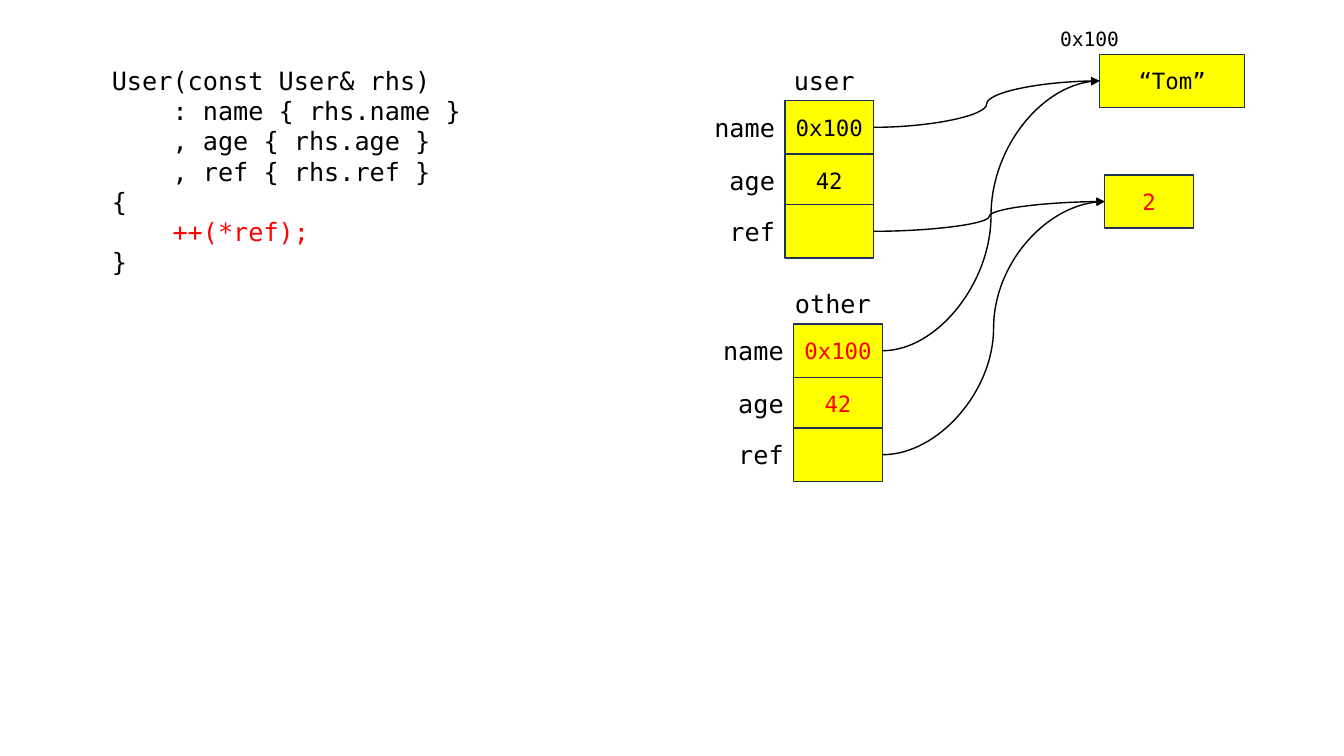
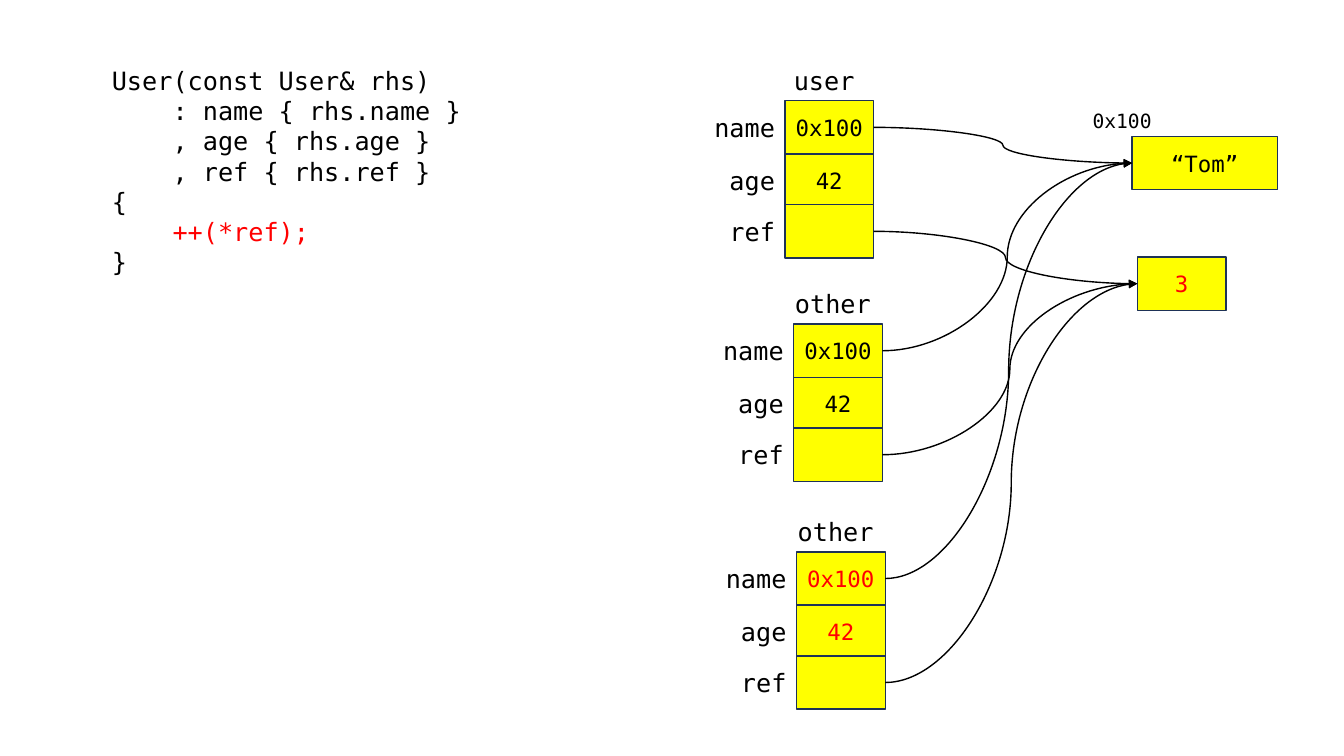
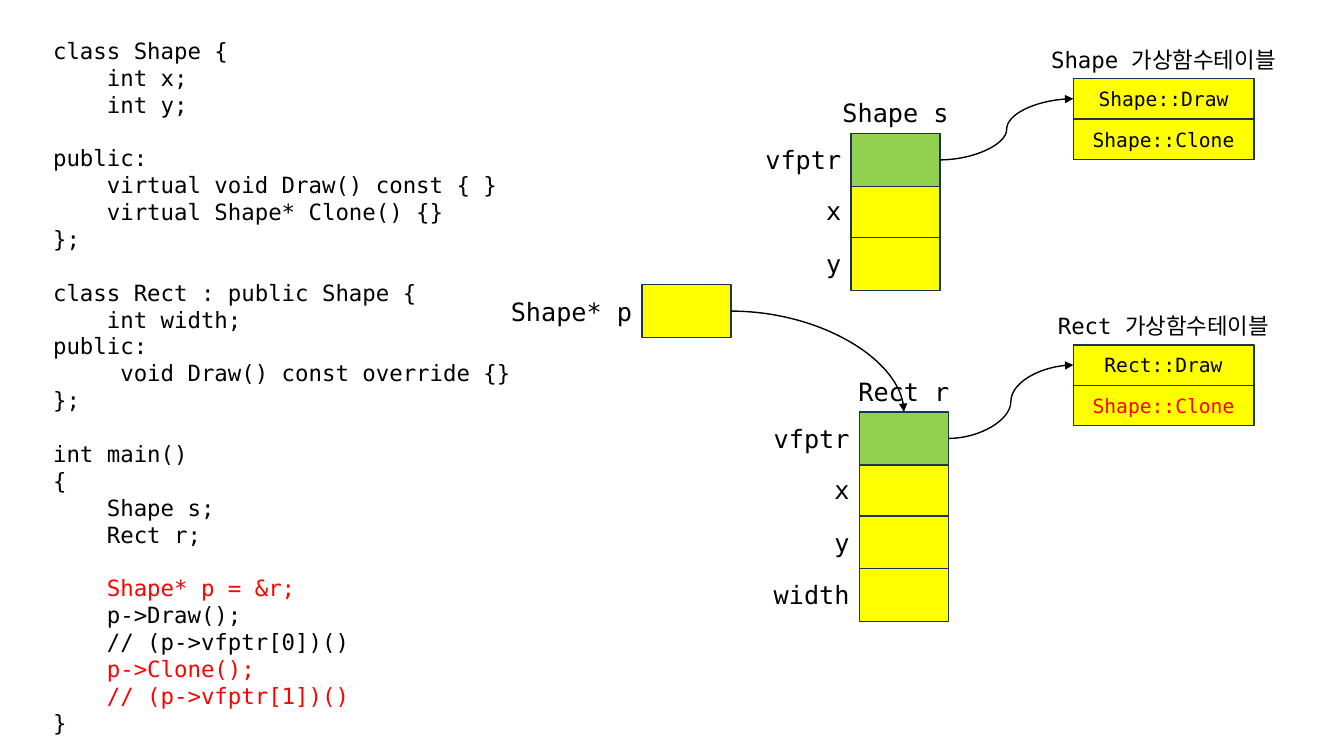
from pptx import Presentation
from pptx.dml.color import RGBColor
from pptx.enum.shapes import MSO_CONNECTOR, MSO_SHAPE
from pptx.enum.text import MSO_ANCHOR, PP_ALIGN
from pptx.oxml.ns import qn
from pptx.util import Cm, Pt
from lxml import etree

RECTANGLE = MSO_SHAPE.RECTANGLE
CURVE = MSO_CONNECTOR.CURVE
LEFT, CENTER, RIGHT = PP_ALIGN.LEFT, PP_ALIGN.CENTER, PP_ALIGN.RIGHT
TOP, MIDDLE = MSO_ANCHOR.TOP, MSO_ANCHOR.MIDDLE

# Shared look
FONT = "DejaVu Sans Mono"
BLACK, RED, YELLOW, GREEN, NAVY = "000000", "FF0000", "FFFF00", "92D050", "1E3256"
CODE_LEADING = 1.2
TOP_SITE, LEFT_SITE, RIGHT_SITE = 0, 1, 3

# Shared measures in centimetres
CELL_WIDTH, CELL_HEIGHT = 2.24, 1.34
LABEL_WIDTH, LABEL_HEIGHT, LABEL_DROP = 3.7, 1.02, 0.16
TITLE_WIDTH, TITLE_RISE = 4.96, 1.03


def add_box(page, left, top, width, height, lines, size, align=CENTER, fill=None, leading=None):
    """Add a filled cell, or a plain text box when there is no fill."""
    area = Cm(left), Cm(top), Cm(width), Cm(height)
    if fill:
        box = page.shapes.add_shape(RECTANGLE, *area)
        box.shadow.inherit = False
        box.fill.solid()
        box.fill.fore_color.rgb = RGBColor.from_string(fill)
        box.line.color.rgb = RGBColor.from_string(NAVY)
        box.line.width = Pt(1)
    else:
        box = page.shapes.add_textbox(*area)
    frame = box.text_frame
    frame.word_wrap = True
    frame.vertical_anchor = MIDDLE if fill else TOP
    if fill:
        frame.margin_left = frame.margin_right = 0
    para, gap = frame.paragraphs[0], 0
    for number, (text, colour) in enumerate(lines):
        if not text:
            gap = size * CODE_LEADING
            continue
        if number:
            para = frame.add_paragraph()
        para.alignment = align
        if leading:
            para.line_spacing = Pt(size * leading)
        if gap:
            para.space_before = Pt(gap)
            gap = 0
        span = para.add_run()
        span.text = text
        span.font.name = FONT
        span.font.size = Pt(size)
        span.font.color.rgb = RGBColor.from_string(colour)
    return box


def add_record(page, title, left, top, rows, title_shift=0.0):
    """Add a titled stack of labelled cells and return the cells by label."""
    title_left = left + (CELL_WIDTH - TITLE_WIDTH) / 2 + title_shift
    add_box(page, title_left, top - TITLE_RISE, TITLE_WIDTH, LABEL_HEIGHT, [(title, BLACK)], 18)
    cells = {}
    for label, offset, lines, fill in rows:
        cells[label] = add_box(page, left, top + offset, CELL_WIDTH, CELL_HEIGHT, lines, 16, fill=fill)
        add_box(page, left - LABEL_WIDTH, top + offset + LABEL_DROP, LABEL_WIDTH, LABEL_HEIGHT,
                [(label, BLACK)], 18, RIGHT)
    return cells


deck = Presentation()
deck.slide_width, deck.slide_height = Cm(33.87), Cm(19.05)
blank_layout = deck.slide_layouts[6]
arrows = []  # page, start cell, end cell, end site

# Slides 1 and 2: copying a reference-counted user
COPY_CODE = """\
    User(const User& rhs)
        : name { rhs.name }
        , age { rhs.age }
        , ref { rhs.ref }
    {
        ++(*ref);
    }"""
copy_lines = [(line, RED if "++" in line else BLACK) for line in COPY_CODE.split("\n")]
users = [("user", 19.78, 2.54), ("other", 20, 8.17), ("other", 20.07, 13.91)]

for user_count, heap_left, heap_top in [(2, 27.71, 1.37), (3, 28.53, 3.44)]:
    page = deck.slides.add_slide(blank_layout)
    add_box(page, 1.04, 1.52, 16.94, 5.64, copy_lines, 18, LEFT, leading=CODE_LEADING)

    # Shared name and reference count
    add_box(page, heap_left - 1.61, heap_top - 0.82, 2.72, 0.86, [("0x100", BLACK)], 14)
    name_cell = add_box(page, heap_left, heap_top, 3.66, CELL_HEIGHT, [("“Tom”", BLACK)], 16, fill=YELLOW)
    count_cell = add_box(page, heap_left + 0.13, heap_top + 3.04, CELL_WIDTH, CELL_HEIGHT,
                         [(str(user_count), RED)], 16, fill=YELLOW)

    # User objects, the newest in red
    for number, (title, left, top) in enumerate(users[:user_count], 1):
        colour = RED if number == user_count else BLACK
        rows = [("name", 0, [("0x100", colour)], YELLOW),
                ("age", 1.34, [("42", colour)], YELLOW),
                ("ref", 2.62, [], YELLOW)]
        cells = add_record(page, title, left, top, rows, title_shift=-0.13)
        arrows.append((page, cells["name"], name_cell, LEFT_SITE))
        arrows.append((page, cells["ref"], count_cell, LEFT_SITE))

# Slide 3: virtual function tables
CLASS_CODE = """\
class Shape {
    int x;
    int y;

public:
    virtual void Draw() const { }
    virtual Shape* Clone() {}
};

class Rect : public Shape {
    int width;
public:
     void Draw() const override {}
};

int main()
{
    Shape s;
    Rect r;

    Shape* p = &r;
    p->Draw();
    // (p->vfptr[0])()
    p->Clone();
    // (p->vfptr[1])()
}"""
red_marks = ("&r", "p->Clone", "vfptr[1]")
class_lines = [(line, RED if any(mark in line for mark in red_marks) else BLACK)
               for line in CLASS_CODE.split("\n")]
page = deck.slides.add_slide(blank_layout)
add_box(page, 1.09, 0.81, 13.84, 18.03, class_lines, 16, LEFT, leading=CODE_LEADING)

# Objects with their tables
member_rows = [("x", 1.28, [], YELLOW), ("y", 2.62, [], YELLOW)]
pointer_row = ("vfptr", 0, [], GREEN)
width_row = ("width", 3.94, [], YELLOW)
objects = [
    ("Shape", "Shape s", 21.45, 3.36, member_rows + [pointer_row], 1.98, BLACK),
    ("Rect", "Rect r", 21.66, 10.38, member_rows + [width_row, pointer_row], 8.69, RED),
]
TABLE_LEFT, TABLE_WIDTH, ENTRY_HEIGHT = 27.05, 4.55, 1.02
for class_name, title, left, top, rows, table_top, clone_colour in objects:
    cells = add_record(page, title, left, top, rows)
    add_box(page, TABLE_LEFT - 1.45, table_top - 0.94, 7.44, 0.94,
            [(f"{class_name} 가상함수테이블", BLACK)], 16)
    entries = [(f"{class_name}::Draw", BLACK), ("Shape::Clone", clone_colour)]
    draw_entry, clone_entry = [
        add_box(page, TABLE_LEFT, table_top + row * ENTRY_HEIGHT, TABLE_WIDTH, ENTRY_HEIGHT,
                [entry], 14, fill=YELLOW)
        for row, entry in enumerate(entries)]
    arrows.append((page, cells["vfptr"], draw_entry, LEFT_SITE))

# Base pointer to the last object, Rect r
POINTER_LEFT, POINTER_TOP = 16.18, 7.17
pointer_cell = add_box(page, POINTER_LEFT, POINTER_TOP, CELL_WIDTH, CELL_HEIGHT, [], 16, fill=YELLOW)
add_box(page, POINTER_LEFT - LABEL_WIDTH, POINTER_TOP + LABEL_DROP, LABEL_WIDTH, LABEL_HEIGHT,
        [("Shape* p", BLACK)], 18, RIGHT)
arrows.append((page, pointer_cell, cells["vfptr"], TOP_SITE))

# Curved arrows between cells
for page, start, end, end_site in arrows:
    arrow = page.shapes.add_connector(CURVE, 0, 0, 0, 0)
    arrow.begin_connect(start, RIGHT_SITE)
    arrow.end_connect(end, end_site)
    arrow.line.color.rgb = RGBColor.from_string(BLACK)
    arrow.line.width = Pt(1)
    properties = arrow._element.spPr
    if end_site == TOP_SITE:
        properties.find(qn("a:prstGeom")).set("prst", "curvedConnector2")
    etree.SubElement(properties.find(qn("a:ln")), qn("a:tailEnd")).set("type", "triangle")
    etree.SubElement(properties, qn("a:effectLst"))

deck.save("out.pptx")
